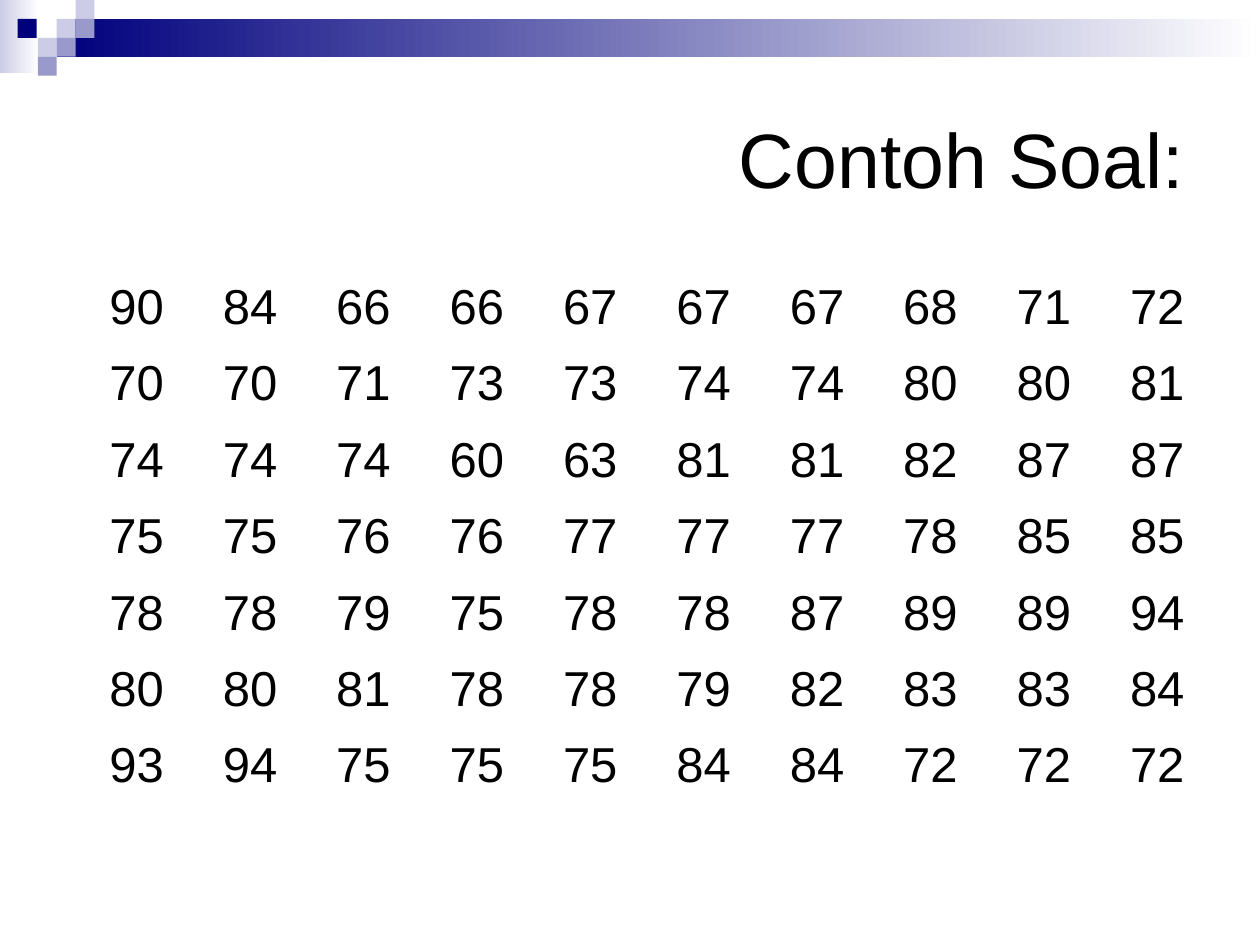
from pptx import Presentation
from pptx.dml.color import RGBColor as RGB
from pptx.enum.shapes import MSO_SHAPE as Shape
from pptx.enum.text import MSO_ANCHOR as Anchor, PP_ALIGN as Align
from pptx.util import Inches, Pt

HUES = {"navy": "00007D", "mid": "9999CC", "pale": "CCCCE6",
        "white": "FFFFFF", "black": "000000"}

# Small squares of the corner motif: left, top, hue
TILES = [(0.45, 0.15, "pale"), (0.6, 0, "pale"), (0.6, 0.15, "mid"),
         (0.3, 0.3, "pale"), (0.14, 0.15, "navy"), (0.45, 0.3, "mid"),
         (0.3, 0.45, "mid")]
SIDE = 0.15

SCORES = """
90 84 66 66 67 67 67 68 71 72
70 70 71 73 73 74 74 80 80 81
74 74 74 60 63 81 81 82 87 87
75 75 76 76 77 77 77 78 85 85
78 78 79 75 78 78 87 89 89 94
80 80 81 78 78 79 82 83 83 84
93 94 75 75 75 84 84 72 72 72
"""


class Deck:
    """Holds the text style and the current slide."""

    def __init__(self, slide, font="Arial", hue="black"):
        self.slide = slide
        self.font = font
        self.hue = hue

    def rect(self, x, y, w, h, hue, fade=None):
        box = self.slide.shapes.add_shape(
            Shape.RECTANGLE, *map(Inches, (x, y, w, h)))
        box.shadow.inherit = False
        box.line.fill.background()
        if fade:
            box.fill.gradient()
            box.fill.gradient_angle = 0
            for stop, name in zip(box.fill.gradient_stops, (hue, fade)):
                stop.color.rgb = RGB.from_string(HUES[name])
        else:
            box.fill.solid()
            box.fill.fore_color.rgb = RGB.from_string(HUES[hue])

    def label(self, frame, text, size, **form):
        para = frame.paragraphs[0]
        for key, val in {"alignment": Align.RIGHT, **form}.items():
            setattr(para, key, val)
        run = para.add_run()
        run.text = text
        for key, val in {"name": self.font, "size": Pt(size)}.items():
            setattr(run.font, key, val)
        run.font.color.rgb = RGB.from_string(HUES[self.hue])

    def title(self, x, y, w, h, text, size):
        box = self.slide.shapes.add_textbox(*map(Inches, (x, y, w, h)))
        frame = box.text_frame
        frame.word_wrap = True
        frame.vertical_anchor = Anchor.MIDDLE
        self.label(frame, text, size)

    def table(self, x, y, w, h, rows, size):
        grid = self.slide.shapes.add_table(
            len(rows), len(rows[0]), *map(Inches, (x, y, w, h))).table
        grid.first_row = grid.horz_banding = False
        for r, row in enumerate(rows):
            for c, text in enumerate(row):
                cell = grid.cell(r, c)
                cell.fill.background()
                self.label(cell.text_frame, text, size, space_before=Pt(7))


def main():
    prs = Presentation()
    prs.slide_width, prs.slide_height = Inches(10), Inches(7.5)
    deck = Deck(prs.slides.add_slide(prs.slide_layouts[6]))

    # Top band and corner motif
    deck.rect(0, 0, 0.31, 0.58, "pale", "white")
    deck.rect(0.45, 0.15, 9.55, 0.3, "navy", "white")
    for x, y, hue in TILES:
        deck.rect(x, y, SIDE, SIDE, hue)

    # Title and score table
    deck.title(0.5, 0.5, 9, 1.5, "Contoh Soal:", 44)
    rows = [line.split() for line in SCORES.strip().splitlines()]
    deck.table(0.5, 2.17, 9, 4.25, rows, 28)

    prs.save("out.pptx")


if __name__ == "__main__":
    main()
